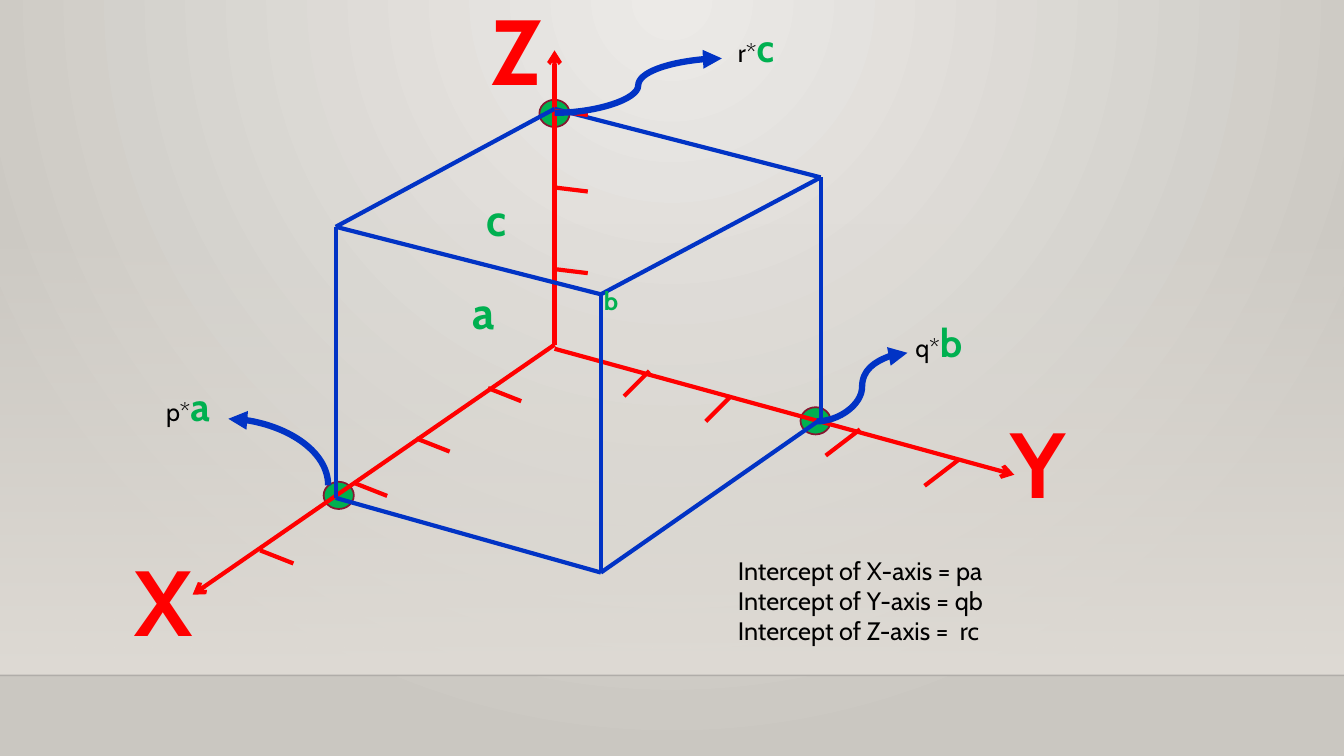
import pptx
import pptx.util
import pptx.dml.color
import pptx.enum.shapes
import pptx.oxml
import pptx.oxml.ns
import lxml.etree

RED = pptx.dml.color.RGBColor(0xFF, 0x00, 0x00)
BLUE = pptx.dml.color.RGBColor(0x01, 0x33, 0xC5)
GREEN = pptx.dml.color.RGBColor(0x00, 0xB0, 0x50)
MAROON = pptx.dml.color.RGBColor(0x87, 0x16, 0x31)
BLACK = pptx.dml.color.RGBColor(0x00, 0x00, 0x00)
NEAR_BLACK = pptx.dml.color.RGBColor(0x00, 0x00, 0x01)
STRAIGHT = pptx.enum.shapes.MSO_CONNECTOR.STRAIGHT
CURVE = pptx.enum.shapes.MSO_CONNECTOR.CURVE
NS = pptx.oxml.ns.nsdecls("a", "p")
qn = pptx.oxml.ns.qn

prs = pptx.Presentation()
prs.slide_width = pptx.util.Inches(13.333)
prs.slide_height = pptx.util.Inches(7.5)
s = prs.slides.add_slide(prs.slide_layouts[6])
COL = prs.slide_width / 1333
ROW = prs.slide_height / 750


def line(start, end, color, width, head=None, kind=STRAIGHT):
    c = s.shapes.add_connector(kind, round(start[0] * COL), round(start[1] * ROW),
                               round(end[0] * COL), round(end[1] * ROW))
    c.line.color.rgb = color
    c.line.width = pptx.util.Pt(width)
    if head:
        lxml.etree.SubElement(c.line._get_or_add_ln(), qn("a:tailEnd"), type=head)
    lxml.etree.SubElement(c._element.spPr, qn("a:effectLst"))
    return c


def text(x, y, w, h, paragraphs):
    tf = s.shapes.add_textbox(round(x * COL), round(y * ROW),
                              round(w * COL), round(h * ROW)).text_frame
    tf.word_wrap = True
    for i, runs in enumerate(paragraphs):
        p = tf.paragraphs[0] if i == 0 else tf.add_paragraph()
        for words, size, color, bold in runs:
            r = p.add_run()
            r.text = words
            r.font.name = "Cabin"
            r.font.size = pptx.util.Pt(size)
            r.font.bold = bold
            r.font.color.rgb = color


s.element.cSld.insert(0, pptx.oxml.parse_xml(
    f'<p:bg {NS}><p:bgPr><a:gradFill rotWithShape="1"><a:gsLst>'
    '<a:gs pos="0"><a:srgbClr val="ECEAE7"/></a:gs>'
    '<a:gs pos="100000"><a:srgbClr val="CAC7C1"/></a:gs></a:gsLst>'
    '<a:path path="circle"><a:fillToRect l="43000" t="0" r="43000" b="100000"/></a:path>'
    '</a:gradFill><a:effectLst/></p:bgPr></p:bg>'))

wall = s.shapes.add_shape(pptx.enum.shapes.MSO_SHAPE.RECTANGLE, 0, round(221 * ROW),
                          prs.slide_width, round(449 * ROW))
wall.shadow.inherit = False
wall.line.fill.background()
wall.fill.background()
spPr = wall._element.spPr
spPr.replace(spPr.find(qn("a:noFill")), pptx.oxml.parse_xml(
    f'<a:gradFill {NS}><a:gsLst>'
    '<a:gs pos="0"><a:srgbClr val="DFDBD5"><a:alpha val="0"/></a:srgbClr></a:gs>'
    '<a:gs pos="100000"><a:srgbClr val="DFDBD5"/></a:gs></a:gsLst>'
    '<a:lin ang="5400000" scaled="0"/></a:gradFill>'))

floor = line((0, 670), (1333, 670), NEAR_BLACK, 1)
floor_color = next(floor._element.spPr.iter(qn("a:srgbClr")))
lxml.etree.SubElement(floor_color, qn("a:alpha"), val="20000")

for x, y in [(794, 404), (321, 478), (535, 99)]:
    sp = s.shapes.add_shape(pptx.enum.shapes.MSO_SHAPE.OVAL, round(x * COL), round(y * ROW),
                            round(30 * COL), round(27 * ROW))
    sp.shadow.inherit = False
    sp.fill.solid()
    sp.fill.fore_color.rgb = GREEN
    sp.line.color.rgb = MAROON
    sp.line.width = pptx.util.Pt(1.25)

for start, end in [((550, 342), (550, 50)), ((550, 342), (191, 590)), ((550, 346), (1006, 471))]:
    line(start, end, RED, 3, "arrow")

top_back, top_right, top_front, top_left = (550, 108), (814, 176), (596, 292), (333, 225)
low_right, low_front, low_left = (814, 416), (596, 568), (333, 494)
for start, end in [(top_back, top_right), (low_right, top_right), (top_back, top_left),
                   (top_right, top_front), (top_left, top_front), (low_front, top_front),
                   (low_left, top_left), (low_left, low_front), (low_right, low_front)]:
    line(start, end, BLUE, 3)

for name, x, y in [("X", 124, 535), ("Y", 992, 398), ("Z", 478, -12)]:
    text(x, y, 142, 121, [[(name, 66, RED, True)]])

ticks = [((-25, 25), [(644, 368), (725, 393)]),
         ((-34, 26), [(853, 426), (951, 456)]),
         ((33, 13), [(484, 385), (413, 435), (351, 479), (258, 546)]),
         ((33, 4), [(550, 267), (550, 186), (550, 110)])]
for (dx, dy), starts in ticks:
    for x, y in starts:
        line((x, y), (x + dx, y + dy), RED, 3)

line((810, 418), (900, 350), BLUE, 4.5, "triangle", CURVE)
line((550, 112), (716, 58), BLUE, 4.5, "triangle", CURVE)
bend = line((243, 498), (309, 399), BLUE, 4.5, "triangle", CURVE)
bend._element.spPr.find(qn("a:prstGeom")).set("prst", "curvedConnector2")
bend._element.spPr.find(qn("a:xfrm")).set("rot", "16200000")

for factor, unit, x, y in [("q*", "b", 898, 311), ("p*", "a", 155, 374), ("r*", "c", 722, 18)]:
    text(x, y, 121, 98, [[(factor, 18, BLACK, False), (unit, 28, GREEN, True)]])

text(722, 546, 519, 100, [[(f"Intercept of {axis}-axis = {value}", 18, BLACK, False)]
                          for axis, value in [("X", "pa"), ("Y", "qb"), ("Z", " rc")]])

for unit, size, x, y, w, h in [("a", 32, 459, 278, 43, 64), ("b", 18, 589, 278, 52, 50),
                               ("c", 32, 473, 185, 43, 64)]:
    text(x, y, w, h, [[(unit, size, GREEN, True)]])

prs.save("out.pptx")
